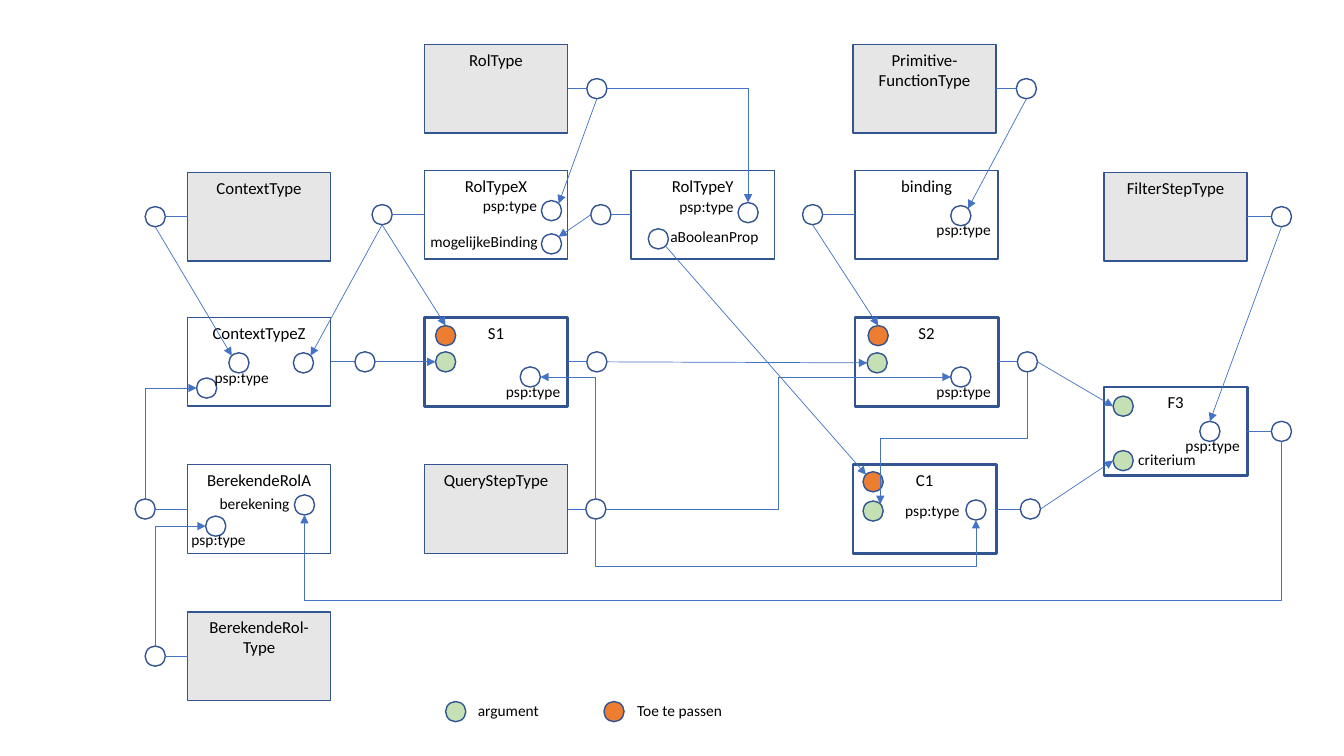
from lxml.etree import SubElement
from pptx import Presentation
from pptx.dml.color import RGBColor
from pptx.enum.shapes import MSO_CONNECTOR as Link, MSO_SHAPE as Shape
from pptx.enum.text import MSO_ANCHOR as Anchor, MSO_AUTO_SIZE as Fit, PP_ALIGN as Align
from pptx.oxml.ns import qn
from pptx.util import Inches, Pt

COLORS = {"text": "000000", "outline": "325491", "arrow": "4472C4",
          "type": "E7E6E6", "argument": "C5E0B4", "apply": "ED7D31"}
COLUMNS = [1.86, 4.21, 6.26, 8.46, 8.48, 10.95]
ROWS = [0.44, 1.69, 1.71, 3.15, 3.84, 4.61, 6.07]
WIDTH, HEIGHT, DOT = 1.42, 0.88, 0.2

BOXES = [
    ("RolType", 1, 0, "type", 1, "right", 0.19),
    ("Primitive-FunctionType", 3, 0, "type", 1, "right", 0.2),
    ("ContextType", 0, 2, "type", 1, "left", 0.22),
    ("RolTypeX", 1, 1, None, 1, "left", 0.32),
    ("RolTypeY", 2, 1, None, 1, "left", 0.2),
    ("binding", 4, 1, None, 1, "left", 0.32),
    ("FilterStepType", 5, 2, "type", 1, "right", 0.24),
    ("ContextTypeZ", 0, 3, None, 1, "right", 0.24),
    ("S1", 1, 3, None, 2, "right", 0.19),
    ("S2", 4, 3, None, 2, "right", 0.19),
    ("F3", 5, 4, None, 2, "right", 0.24),
    ("BerekendeRolA", 0, 5, None, 1, "left", 0.32),
    ("QueryStepType", 1, 5, "type", 1, "right", 0.18),
    ("C1", 3, 5, None, 2, "right", 0.24),
    ("BerekendeRol-Type", 0, 6, "type", 1, "left", 0.22),
]
PORTS = {
    "RolTypeX": [("type", 1.16, 0.3, None), ("binding", 1.16, 0.63, None)],
    "RolTypeY": [("type", 1.06, 0.32, None), ("boolean", 0.17, 0.58, None)],
    "binding": [("type", 0.95, 0.35, None)],
    "ContextTypeZ": [("type", 0.41, 0.35, None), ("role", 1.05, 0.35, None),
                     ("computed", 0.09, 0.6, None)],
    "S1": [("type", 0.95, 0.49, None), ("apply", 0.11, 0.08, "apply"),
           ("argument", 0.11, 0.34, "argument")],
    "S2": [("type", 0.95, 0.49, None), ("apply", 0.13, 0.08, "apply"),
           ("argument", 0.12, 0.35, "argument")],
    "F3": [("type", 0.95, 0.34, None), ("argument", 0.09, 0.09, "argument"),
           ("criterion", 0.09, 0.63, "argument")],
    "BerekendeRolA": [("type", 0.18, 0.51, None), ("formula", 1.06, 0.3, None)],
    "C1": [("type", 1.12, 0.35, None), ("apply", 0.1, 0.07, "apply"),
           ("argument", 0.1, 0.36, "argument")],
}
LABELS = {
    "RolTypeX": [("psp:type", 0.48, 0.21), ("mogelijkeBinding", -0.04, 0.56)],
    "RolTypeY": [("psp:type", 0.38, 0.22), ("aBooleanProp", 0.29, 0.51)],
    "binding": [("psp:type", 0.71, 0.44)],
    "ContextTypeZ": [("psp:type", 0.17, 0.45)],
    "S1": [("psp:type", 0.71, 0.59)],
    "S2": [("psp:type", 0.71, 0.59)],
    "F3": [("psp:type", 0.71, 0.44), ("criterium", 0.24, 0.58)],
    "BerekendeRolA": [("psp:type", -0.06, 0.6), ("berekening", 0.22, 0.24)],
    "C1": [("psp:type", 0.42, 0.31)],
}
LABEL_WIDTHS = {"psp:type": 0.74, "mogelijkeBinding": 1.28, "aBooleanProp": 1.08,
                "criterium": 0.78, "berekening": 0.91, "argument": 0.81,
                "Toe te passen": 1.06}
LEGEND = [("argument", 4.42, 4.64, "argument"), ("Toe te passen", 5.99, 6.22, "apply")]

ARROWS = [
    ("RolType", "out", "b", "RolTypeX", "type", "tr", None),
    ("RolType", "out", "r", "RolTypeY", "type", "t", "corner"),
    ("Primitive-FunctionType", "out", "b", "binding", "type", "tr", None),
    ("ContextType", "out", "b", "ContextTypeZ", "type", "tl", None),
    ("RolTypeX", "out", "b", "ContextTypeZ", "role", "tr", None),
    ("RolTypeX", "out", "b", "S1", "apply", "t", None),
    ("RolTypeY", "out", "l", "RolTypeX", "binding", "tr", None),
    ("RolTypeY", "boolean", "br", "C1", "apply", "tl", None),
    ("binding", "out", "b", "S2", "apply", "t", None),
    ("FilterStepType", "out", "b", "F3", "type", "t", None),
    ("ContextTypeZ", "out", "r", "S1", "argument", "l", None),
    ("S1", "out", "r", "S2", "argument", "l", None),
    ("S2", "out", "r", "F3", "argument", "l", None),
    ("S2", "out", "b", "C1", "argument", "tr", 0.5),
    ("C1", "out", "r", "F3", "criterion", "l", None),
    ("QueryStepType", "out", "t", "S1", "type", "r", "corner"),
    ("QueryStepType", "out", "r", "S2", "type", "l", 0.5),
    ("QueryStepType", "out", "b", "C1", "type", "b", 48),
    ("BerekendeRolA", "out", "t", "ContextTypeZ", "computed", "l", "corner"),
    ("BerekendeRol-Type", "out", "t", "BerekendeRolA", "type", "l", "corner"),
    ("F3", "out", "b", "BerekendeRolA", "formula", "b", 2.16),
]

deck = Presentation()
deck.slide_width, deck.slide_height = Inches(13.33), Inches(7.5)
page = deck.slides.add_slide(deck.slide_layouts[6])
dots = {}


def write(shape, text, size, formats):
    frame = shape.text_frame
    for name, value in formats.items():
        setattr(frame, name, value)
    para = frame.paragraphs[0]
    span = para.add_run()
    span.text = text
    for name, value in {"name": "Calibri", "size": Pt(size)}.items():
        setattr(span.font, name, value)
    span.font.color.rgb = RGBColor.from_string(COLORS["text"])
    return para


def add_outlined(kind, x, y, width, height, fill, weight):
    shape = page.shapes.add_shape(kind, *map(Inches, (x, y, width, height)))
    shape.shadow.inherit = False
    if fill:
        shape.fill.solid()
        shape.fill.fore_color.rgb = RGBColor.from_string(COLORS[fill])
    else:
        shape.fill.background()
    shape.line.color.rgb = RGBColor.from_string(COLORS["outline"])
    shape.line.width = Pt(weight)
    return shape


def add_dot(x, y, fill):
    add_outlined(Shape.OVAL, x, y, DOT, DOT, fill, 1)
    return x + DOT / 2, y + DOT / 2


def add_label(text, x, y):
    box = page.shapes.add_textbox(*map(Inches, (x, y, LABEL_WIDTHS[text], 0.29)))
    write(box, text, 11, {"word_wrap": False, "auto_size": Fit.SHAPE_TO_FIT_TEXT})


def site(dot, side):
    x, y = dots[dot]
    reach = DOT / 2 * (0.71 if len(side) == 2 else 1)
    return (x + reach * (("r" in side) - ("l" in side)),
            y + reach * (("b" in side) - ("t" in side)))


def add_line(start, end, head=False):
    line = page.shapes.add_connector(Link.STRAIGHT, *map(Inches, start + end))
    line.line.color.rgb = RGBColor.from_string(COLORS["arrow"])
    line.line.width = Pt(0.5)
    if head:
        SubElement(line.line._get_or_add_ln(), qn("a:tailEnd"), type="triangle")
    SubElement(line._element.spPr, qn("a:effectLst"))
    return line


def bend_line(line, start, end, bend, upright):
    dx, dy = end[0] - start[0], end[1] - start[1]
    along, across = (dy, dx) if upright else (dx, dy)
    flips = {"flipH": along < 0, "flipV": (across > 0) if upright else (across < 0)}
    middle = (start[0] + end[0]) / 2, (start[1] + end[1]) / 2
    width, height = abs(along), abs(across)
    places = {"left": middle[0] - width / 2, "top": middle[1] - height / 2,
              "width": width, "height": height}
    for name, value in places.items():
        setattr(line, name, Inches(value))
    frame = line._element.spPr.find(qn("a:xfrm"))
    frame.set("rot", "5400000" if upright else "0")
    for name, value in flips.items():
        frame.set(name, str(int(value)))
    outline = line._element.spPr.find(qn("a:prstGeom"))
    outline.set("prst", "bentConnector2" if bend == "corner" else "bentConnector3")
    if bend != "corner":
        SubElement(outline.find(qn("a:avLst")), qn("a:gd"), name="adj1",
                   fmla=f"val {round(bend * 100000)}")


for title, column, row, fill, weight, side, gap in BOXES:
    left, top = COLUMNS[column], ROWS[row]
    box = add_outlined(Shape.RECTANGLE, left, top, WIDTH, HEIGHT, fill, weight)
    para = write(box, title, 12, {"word_wrap": True, "vertical_anchor": Anchor.TOP})
    para.alignment = Align.CENTER
    outlet = left + WIDTH + gap if side == "right" else left - gap - DOT
    dots[title, "out"] = add_dot(outlet, top + (HEIGHT - DOT) / 2, None)
    edge = left + WIDTH if side == "right" else left
    add_line(site((title, "out"), "l" if side == "right" else "r"),
             (edge, top + HEIGHT / 2))
    for port, dx, dy, color in PORTS.get(title, []):
        dots[title, port] = add_dot(left + dx, top + dy, color)
    for text, dx, dy in LABELS.get(title, []):
        add_label(text, left + dx, top + dy)

for source, outlet, leave, target, port, enter, bend in ARROWS:
    start, end = site((source, outlet), leave), site((target, port), enter)
    arrow = add_line(start, end, head=True)
    if bend is not None:
        bend_line(arrow, start, end, bend, leave in "tb")

for text, dot_left, text_left, fill in LEGEND:
    add_dot(dot_left, 6.96, fill)
    add_label(text, text_left, 6.91)

deck.save("out.pptx")
